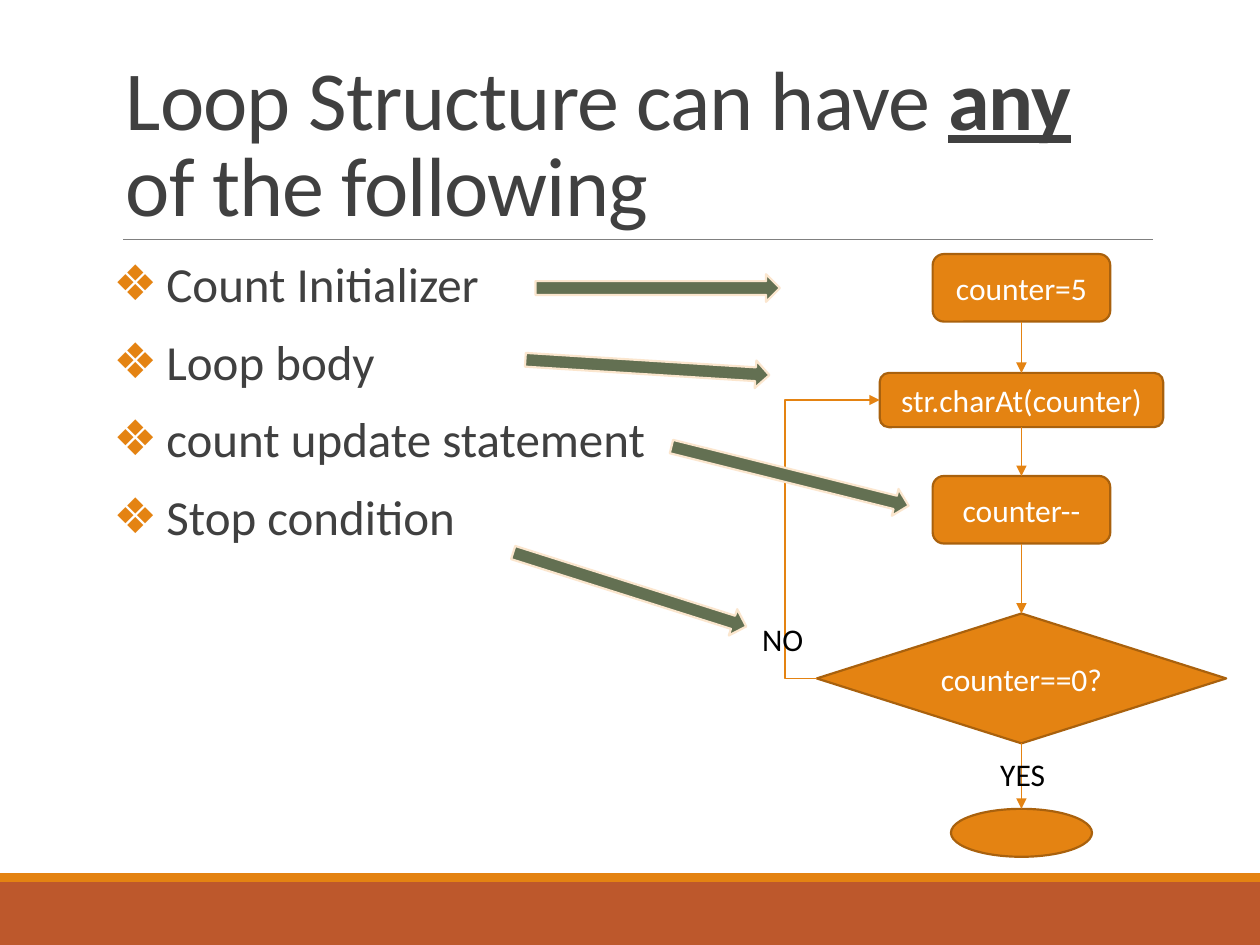
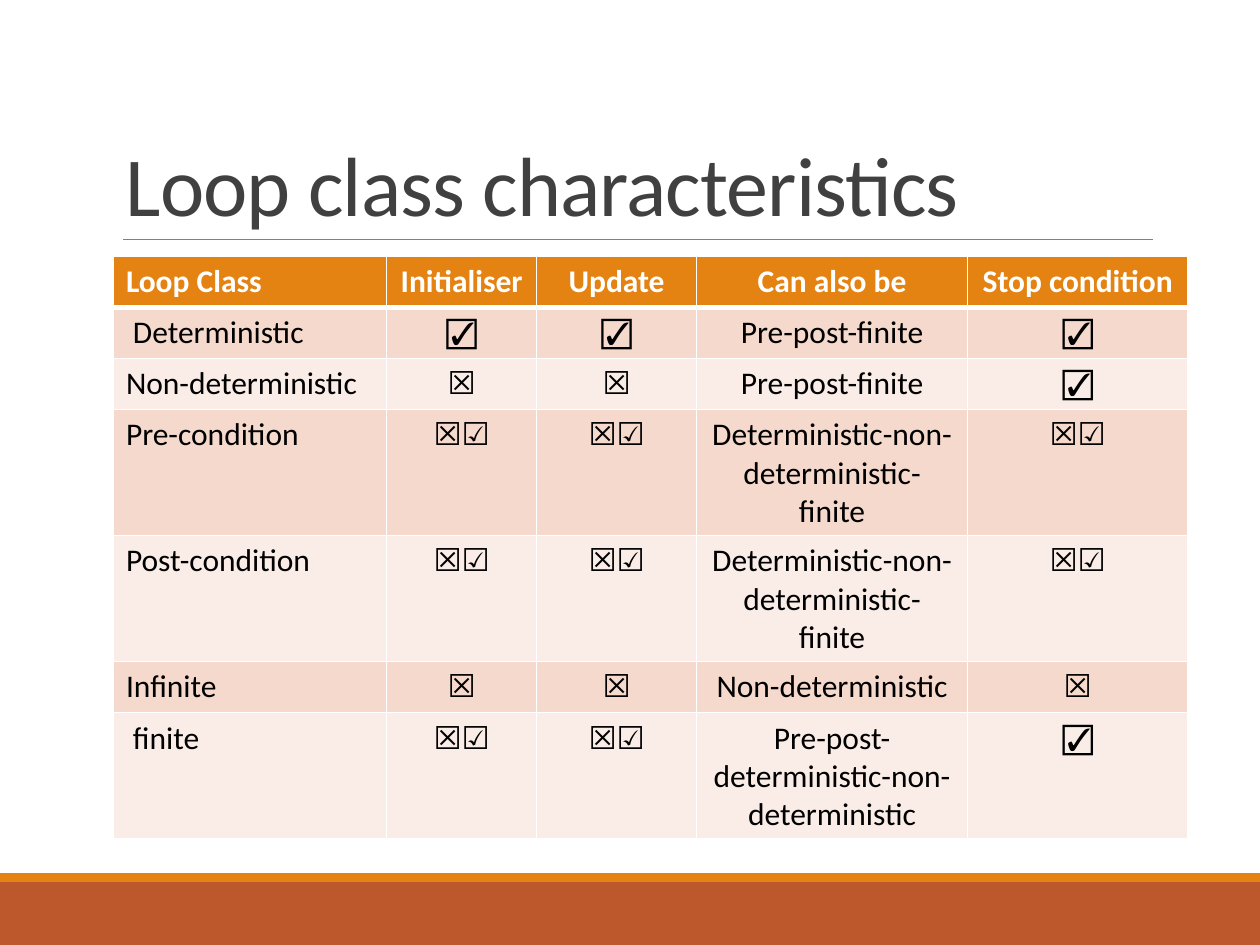
import pptx
import pptx.util
import pptx.dml.color
import pptx.enum.shapes
import pptx.enum.text
import pptx.oxml.ns
import pptx.oxml.xmlchemy

Pt = pptx.util.Pt
Shape = pptx.enum.shapes.MSO_SHAPE
Link = pptx.enum.shapes.MSO_CONNECTOR
Align = pptx.enum.text.PP_ALIGN
Anchor = pptx.enum.text.MSO_ANCHOR
qn = pptx.oxml.ns.qn
TOP, LEFT, BOTTOM = 0, 1, 2


class Theme:
    font = "Calibri"
    title, body, small = 48, 28, 18
    orange, rust, edge = "E48312", "BD582C", "A9610D"
    green, cream = "637052", "FBE6CE"
    grey, rule = "404040", "808080"
    white, black = "FFFFFF", "000000"
    bands = ("FAEDE7", "F5D9CC")


def color(code):
    return pptx.dml.color.RGBColor.from_string(code)


def add_xml(parent, tag, **attrs):
    node = pptx.oxml.xmlchemy.OxmlElement(tag)
    for key, value in attrs.items():
        node.set(key, str(value))
    parent.append(node)
    return node


# Text
def add_bullet(para, mark, indent):
    props = para._p.get_or_add_pPr()
    props.set("marL", str(Pt(indent)))
    props.set("indent", str(-Pt(indent)))
    add_xml(add_xml(props, "a:buClr"), "a:srgbClr", val=Theme.orange)
    add_xml(props, "a:buFont", typeface=Theme.font)
    add_xml(props, "a:buChar", char=mark)


def write(frame, lines, size=Theme.small, ink=Theme.black, bold=False,
          align=Align.LEFT, leading=None, before=0, after=0,
          bullet=None, indent=0, tracking=None):
    """Each line is a string or a list of (text, strong) pairs."""
    for i, line in enumerate(lines):
        para = frame.paragraphs[0] if i == 0 else frame.add_paragraph()
        if bullet:
            add_bullet(para, bullet, indent)
        para.alignment = align
        if leading:
            para.line_spacing = leading
        para.space_before = Pt(before if i else 0)
        para.space_after = Pt(after)
        for text, strong in [(line, False)] if isinstance(line, str) else line:
            run = para.add_run()
            run.text = text
            run.font.name = Theme.font
            run.font.size = Pt(size)
            run.font.color.rgb = color(ink)
            run.font.bold = bold or strong
            run.font.underline = strong
            if tracking:
                run._r.get_or_add_rPr().set("spc", str(tracking))


def add_text(slide, box, lines, wrap=True, anchor=Anchor.TOP, side=7.2, **style):
    frame = slide.shapes.add_textbox(*map(Pt, box)).text_frame
    frame.word_wrap = wrap
    frame.vertical_anchor = anchor
    frame.margin_left = frame.margin_right = Pt(side)
    write(frame, lines, **style)


# Shapes and lines
def add_shape(slide, kind, box, fill, edge=None, width=1.25, text=None, turn=0):
    shape = slide.shapes.add_shape(kind, *map(Pt, box))
    shape.shadow.inherit = False
    shape.rotation = turn
    shape.fill.solid()
    shape.fill.fore_color.rgb = color(fill)
    if edge:
        shape.line.color.rgb = color(edge)
        shape.line.width = Pt(width)
    else:
        shape.line.fill.background()
    if text:
        shape.text_frame.vertical_anchor = Anchor.MIDDLE
        write(shape.text_frame, [text], ink=Theme.white, align=Align.CENTER)
    return shape


def add_line(slide, kind, ends, ink, width):
    line = slide.shapes.add_connector(kind, *map(Pt, ends))
    line.line.color.rgb = color(ink)
    line.line.width = Pt(width)
    add_xml(line._element.spPr, "a:effectLst")
    return line


def join(slide, start, end, sites=(BOTTOM, TOP), kind=Link.STRAIGHT):
    line = add_line(slide, kind, (0, 0, 0, 0), Theme.orange, 1)
    line.begin_connect(start, sites[0])
    line.end_connect(end, sites[1])
    add_xml(line._element.spPr.find(qn("a:ln")), "a:tailEnd", type="triangle")
    return line


# Title, rule and footer bands on every slide
def add_page(deck, title):
    slide = deck.slides.add_slide(deck.slide_layouts[6])
    add_shape(slide, Shape.RECTANGLE, (0, 504, 720, 36), Theme.rust)
    add_shape(slide, Shape.RECTANGLE, (0, 499, 720, 5), Theme.orange)
    add_line(slide, Link.STRAIGHT, (70.5, 136.8, 658.8, 136.8), Theme.rule, 0.5)
    add_text(slide, (64.8, 22.3, 594, 114.5), [title], anchor=Anchor.BOTTOM,
             size=Theme.title, ink=Theme.grey, leading=0.85, tracking=-50)
    return slide


# Flow chart of the loop, all nodes on one axis
def add_flow(slide):
    axis = 583.7
    steps = [
        (Shape.ROUNDED_RECTANGLE, 145.2, 101.5, 38.6, "counter=5"),
        (Shape.ROUNDED_RECTANGLE, 213.1, 162, 31, "str.charAt(counter)"),
        (Shape.ROUNDED_RECTANGLE, 272, 101.5, 38.6, "counter--"),
        (Shape.DIAMOND, 350.6, 234, 74.2, "counter==0?"),
        (Shape.OVAL, 462.2, 80.6, 27.4, None),
    ]
    nodes = [add_shape(slide, kind, (axis - wide / 2, top, wide, high),
                       Theme.orange, Theme.edge, text=text)
             for kind, top, wide, high, text in steps]
    for start, end in zip(nodes, nodes[1:]):
        join(slide, start, end)

    # Way back from the test to the loop body
    back = join(slide, nodes[3], nodes[1], (LEFT, LEFT), Link.ELBOW)
    geom = back._element.spPr.find(qn("a:prstGeom"))
    for old in list(geom):
        geom.remove(old)
    add_xml(add_xml(geom, "a:avLst"), "a:gd", name="adj1", fmla="val -49700")

    add_text(slide, (428.4, 350.6, 38.2, 28.8), ["NO"], wrap=False)
    add_text(slide, (564.5, 427.7, 40.3, 28.8), ["YES"], wrap=False)


# Table
def add_border(cell, low):
    props = cell._tc.get_or_add_tcPr()
    for side, width in (("L", 1), ("R", 1), ("T", 1), ("B", low)):
        line = add_xml(props, "a:ln" + side, w=Pt(width))
        add_xml(add_xml(line, "a:solidFill"), "a:srgbClr", val=Theme.white)


def add_table(slide, left, top, widths, high, rows, inset):
    table = slide.shapes.add_table(
        len(rows), len(widths), Pt(left), Pt(top),
        Pt(sum(widths)), Pt(high * len(rows))).table
    table.first_row = table.horz_banding = False
    for col, width in zip(table.columns, widths):
        col.width = Pt(width)
    for r, row in enumerate(rows):
        table.rows[r].height = Pt(high)
        head = r == 0
        for c, text in enumerate(row):
            cell = table.cell(r, c)
            add_border(cell, 3 if r == 0 else 1)
            cell.fill.solid()
            cell.fill.fore_color.rgb = color(
                Theme.orange if head else Theme.bands[r % 2])
            if text in inset:
                cell.margin_left = Pt(11.2)
            write(cell.text_frame, [text], bold=head,
                  ink=Theme.white if head else Theme.black,
                  align=Align.CENTER if c else Align.LEFT)


def add_parts(deck):
    slide = add_page(deck, [("Loop Structure can have ", False), ("any", True),
                            (" of the following", False)])
    add_text(slide, (64.8, 145.4, 632.9, 316.8),
             ["Count Initializer", "Loop body", "count update statement",
              "Stop condition"],
             side=0, size=Theme.body, ink=Theme.grey, leading=0.9,
             before=12, after=2, bullet="❖", indent=30.3)
    add_flow(slide)
    for left, top, turn in ((306, 156.7, 0), (300.1, 202.1, 3.6),
                            (381.6, 264.2, 14), (290, 329, 17.6)):
        add_shape(slide, Shape.RIGHT_ARROW, (left, top, 139.7, 15.8),
                  Theme.green, Theme.cream, turn=turn)


def add_classes(deck):
    slide = add_page(deck, "Loop class characteristics")
    yes, no, both = "☑", "☒", "☒☑"
    mixed = "Deterministic-non-deterministic- finite"
    rows = [
        ("Loop Class", "Initialiser", "Update", "Can also be", "Stop condition"),
        ("Deterministic", yes, yes, "Pre-post-finite", yes),
        ("Non-deterministic", no, no, "Pre-post-finite", yes),
        ("Pre-condition", both, both, mixed, both),
        ("Post-condition", both, both, mixed, both),
        ("Infinite", no, no, "Non-deterministic", no),
        ("finite", both, both, "Pre-post-deterministic-non-deterministic", yes),
    ]
    add_table(slide, 64.8, 146.4, (156.2, 85.7, 91.4, 154.8, 126), 29.2, rows,
              inset=("Deterministic", "finite"))


def main():
    deck = pptx.Presentation()
    deck.slide_width, deck.slide_height = Pt(720), Pt(540)
    add_parts(deck)
    add_classes(deck)
    deck.save("out.pptx")


if __name__ == "__main__":
    main()
